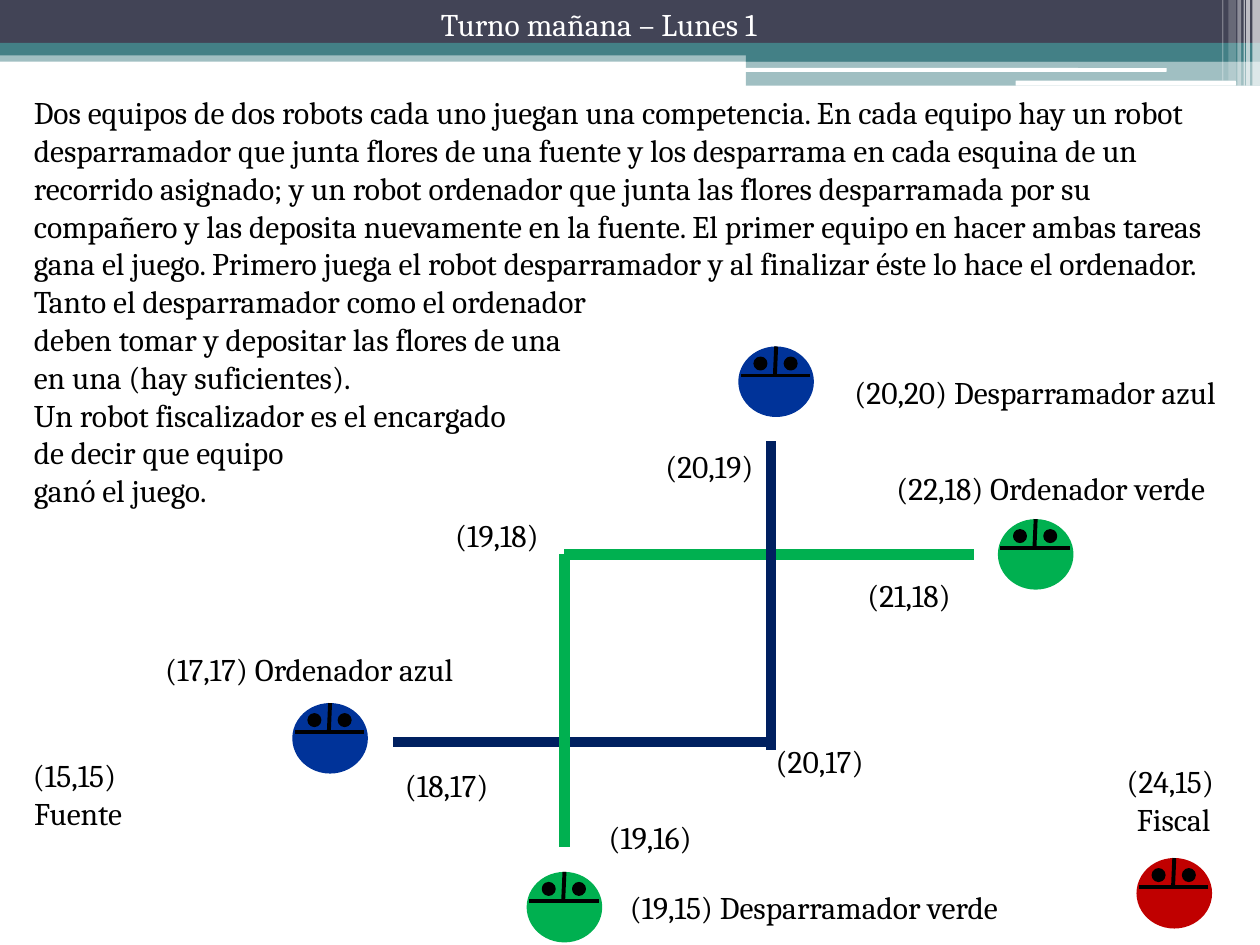
from lxml import etree
from pptx import Presentation
from pptx.dml.color import RGBColor
from pptx.enum.shapes import MSO_CONNECTOR, MSO_SHAPE
from pptx.enum.text import MSO_AUTO_SIZE, PP_ALIGN
from pptx.oxml.ns import qn
from pptx.util import Emu, Pt

PX = 9144
FONT = "Cambria"
RECT, ROUND, OVAL = MSO_SHAPE.RECTANGLE, MSO_SHAPE.ROUNDED_RECTANGLE, MSO_SHAPE.OVAL
STRAIGHT = MSO_CONNECTOR.STRAIGHT
LEFT, CENTER = PP_ALIGN.LEFT, PP_ALIGN.CENTER
FIT_SHAPE = MSO_AUTO_SIZE.SHAPE_TO_FIT_TEXT

COLORS = {
    "slate": "424456", "teal": "438086", "white": "FFFFFF", "black": "000000",
    "blue": "003399", "green": "00B050", "red": "C00000", "navy": "002060",
}

STATEMENT = [
    "Dos equipos de dos robots cada uno juegan una competencia. En cada equipo hay un robot "
    "desparramador que junta flores de una fuente y los desparrama en cada esquina de un "
    "recorrido asignado; y un robot ordenador que junta las flores desparramada por su "
    "compañero y las deposita nuevamente en la fuente. El primer equipo en hacer ambas tareas "
    "gana el juego. Primero juega el robot desparramador y al finalizar éste lo hace el ordenador.",
    "Tanto el desparramador como el ordenador \ndeben tomar y depositar las flores de una \n"
    "en una (hay suficientes).",
    "Un robot fiscalizador es el encargado \nde decir que equipo \nganó el juego.",
]

ROBOTS = [
    (232, 558, "blue"), (792, 412, "green"), (902, 681, "red"),
    (586, 275, "blue"), (418, 692, "green"),
]

ROUTES = [
    (312, 589, 612, 589, "navy"), (448, 440, 773, 440, "green"),
    (612, 350, 612, 595, "navy"), (448, 440, 448, 672, "green"),
]

LABELS = [
    (109, 511, 273, 40, ["(17,17) Ordenador azul"]),
    (686, 367, 296, 40, ["(22,18) Ordenador verde"]),
    (12, 595, 100, 71, ["(15,15) \nFuente"]),
    (652, 291, 339, 40, ["(20,20) Desparramador azul"]),
    (473, 700, 346, 40, ["(19,15) Desparramador verde"]),
    (673, 452, 97, 40, ["(21,18)"]),
    (513, 350, 100, 40, ["(20,19)"]),
    (601, 584, 99, 40, ["(20,17)"]),
    (468, 644, 96, 40, ["(19,16)"]),
    (879, 600, 105, 71, ["(24,15) ", "Fiscal"]),
    (307, 603, 95, 40, ["(18,17)"]),
    (346, 405, 97, 40, ["(19,18)"]),
]


def px(*lengths):
    """Turn px lengths into EMU."""
    return [Emu(length * PX) for length in lengths]


def rgb(color):
    """Look up a named colour."""
    return RGBColor.from_string(COLORS[color])


def add_solid(shapes, kind, box, color, opacity=100, outline=0):
    """Add a flat preset shape, optionally see-through or outlined."""
    solid = shapes.add_shape(kind, *px(*box))
    solid.shadow.inherit = False
    solid.fill.solid()
    solid.fill.fore_color.rgb = rgb(color)
    if outline:
        solid.line.color.rgb = rgb(color)
        solid.line.width = Pt(outline)
    else:
        solid.line.fill.background()
    if opacity < 100:
        tint = solid.fill._xPr.find(qn("a:solidFill"))[0]
        etree.SubElement(tint, qn("a:alpha")).set("val", str(opacity * 1000))
    return solid


def add_stroke(shapes, ends, color, weight):
    """Add a straight line without a shadow."""
    stroke = shapes.add_connector(STRAIGHT, *px(*ends))
    stroke.line.color.rgb = rgb(color)
    stroke.line.width = Pt(weight)
    etree.SubElement(stroke._element.spPr, qn("a:effectLst"))


def add_text(shapes, box, paragraphs, color="black", align=CENTER, wrap=False):
    """Add a text box, breaking lines within a paragraph at newlines."""
    frame = shapes.add_textbox(*px(*box)).text_frame
    frame.word_wrap = wrap
    frame.auto_size = FIT_SHAPE
    for index, wording in enumerate(paragraphs):
        paragraph = frame.paragraphs[0] if index == 0 else frame.add_paragraph()
        paragraph.alignment = align
        for row, line in enumerate(wording.split("\n")):
            if row:
                paragraph.add_line_break()
            run = paragraph.add_run()
            run.text = line
            run.font.name = FONT
            run.font.size = Pt(18)
            run.font.color.rgb = rgb(color)


def add_header(shapes, left, top, width):
    """Draw the banner bands, the stripes at its right end and the title."""
    right, tab = left + width, left + 592
    add_solid(shapes, RECT, (left, top + 40, width, 9), "teal", 50)
    add_solid(shapes, RECT, (left, top, width, 34), "slate")
    add_solid(shapes, RECT, (left, top + 34, width, 10), "teal")
    add_solid(shapes, RECT, (tab, top + 39, right - tab, 10), "teal")
    add_solid(shapes, RECT, (tab, top + 48, right - tab, 20), "teal", 50)
    for x, y, length, height in [(591, 54, 335, 3), (806, 64, 175, 4)]:
        add_solid(shapes, ROUND, (left + x, top + y, length, height), "white")
    stripes = [(6, 6, 68, 65), (11, 3, 68, 65), (13, 1, 68, 60),
               (18, 3, 68, 40), (25, 6, 64, 20), (30, 1, 64, 30)]
    for inset, thickness, height, opacity in stripes:
        add_solid(shapes, RECT, (right - inset, top, thickness, height), "white", opacity)
    add_text(shapes, (left + 340, top - 1, 299, 40), ["Turno mañana – Lunes 1"], "white", LEFT)


def add_robot(shapes, left, top, color):
    """Draw one robot as a group: body, two eyes and the lines of its shell."""
    parts = shapes.add_group_shape().shapes
    add_solid(parts, OVAL, (left, top, 60, 56), color)
    for eye in (13, 37):
        add_solid(parts, OVAL, (left + eye, top + 9, 9, 9), "black", outline=1.5)
    neck = top + 23
    add_stroke(parts, (left + 30, top, left + 29, neck), "black", 2.25)
    add_stroke(parts, (left + 57, neck, left + 2, neck), "black", 2.25)


def add_board(shapes, left, top):
    """Draw the robots, their routes and the corner coordinates."""
    for x, y, color in ROBOTS:
        add_robot(shapes, left + x, top + y, color)
    for x1, y1, x2, y2, color in ROUTES:
        add_stroke(shapes, (left + x1, top + y1, left + x2, top + y2), color, 6)
    for x, y, width, height, wording in LABELS:
        add_text(shapes, (left + x, top + y, width, height), wording)


def main():
    """Build and save the slide."""
    deck = Presentation()
    deck.slide_width, deck.slide_height = px(1000, 750)
    shapes = deck.slides.add_slide(deck.slide_layouts[6]).shapes
    add_header(shapes, 0, 0, 1000)
    add_text(shapes, (17, 69, 967, 374), STATEMENT, align=LEFT, wrap=True)
    add_board(shapes, 0, 0)
    deck.save("out.pptx")


if __name__ == "__main__":
    main()
